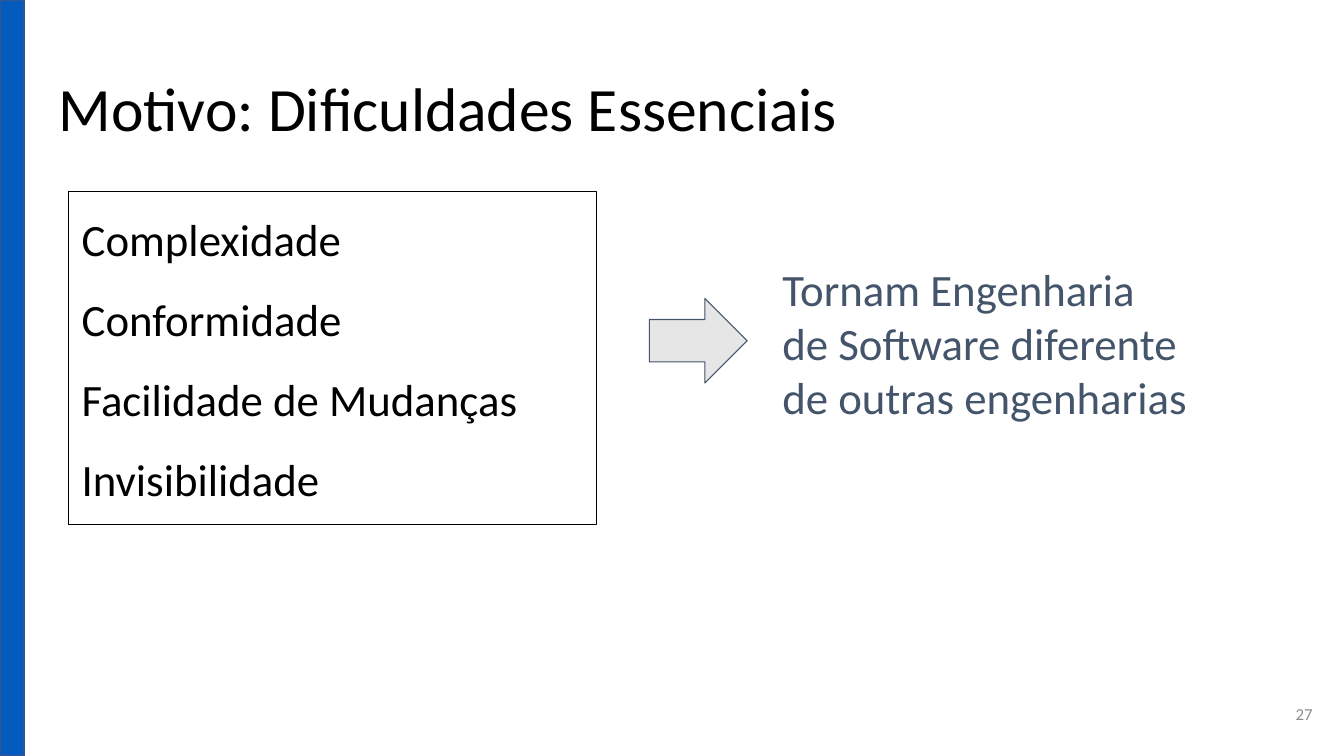
import pptx
import pptx.dml.color
import pptx.enum.shapes
import pptx.enum.text
import pptx.oxml
import pptx.oxml.ns
import pptx.util

RGB = pptx.dml.color.RGBColor
FORM = pptx.enum.shapes.MSO_SHAPE
ALIGN = pptx.enum.text.PP_ALIGN
ANCHOR = pptx.enum.text.MSO_ANCHOR

BLACK = RGB(0x00, 0x00, 0x00)
BLUE = RGB(0x04, 0x5A, 0xBD)
EDGE = RGB(0x32, 0x54, 0x91)
SLATE = RGB(0x44, 0x54, 0x6A)
SILVER = RGB(0xE7, 0xE6, 0xE6)
GRAY = RGB(0x8C, 0x8C, 0x8C)


class Page:
    """Hold the style and the slide; places are percent shares of its size."""

    def __init__(self, deck):
        self.deck = deck
        self.font = "Calibri"
        self.inset = pptx.util.Inches(0.13)
        self.slide = deck.slides.add_slide(deck.slide_layouts[1])

    def area(self, left, top, width, height):
        wide, high = self.deck.slide_width, self.deck.slide_height
        return (int(wide * left / 100), int(high * top / 100),
                int(wide * width / 100), int(high * height / 100))

    def fill_text(self, shape, lines, size, color, align=ALIGN.LEFT,
                  anchor=ANCHOR.TOP, pitch=1.0, gap=0):
        frame = shape.text_frame
        frame.word_wrap = True
        frame.auto_size = pptx.enum.text.MSO_AUTO_SIZE.NONE
        frame.vertical_anchor = anchor
        frame.margin_left = frame.margin_right = self.inset
        frame.margin_top = frame.margin_bottom = self.inset
        frame.text = "\n".join(lines)
        for rank, para in enumerate(frame.paragraphs):
            para.alignment = align
            para.line_spacing = pitch
            para.space_before = pptx.util.Pt(gap if rank else 0)
            props = para._p.get_or_add_pPr()
            props.set("marL", "0")
            props.set("indent", "0")
            props.append(pptx.oxml.parse_xml(
                "<a:buNone %s/>" % pptx.oxml.ns.nsdecls("a")))
            para.font.name = self.font
            para.font.size = pptx.util.Pt(size)
            para.font.color.rgb = color

    def holder(self, index, place, lines, size, **style):
        shape = self.slide.placeholders[index]
        shape.left, shape.top, shape.width, shape.height = self.area(*place)
        self.fill_text(shape, lines, size, BLACK, **style)
        return shape

    def text(self, place, lines, size, color, **style):
        box = self.slide.shapes.add_textbox(*self.area(*place))
        self.fill_text(box, lines, size, color, **style)

    def border(self, shape, color, width):
        shape.line.color.rgb = color
        shape.line.width = pptx.util.Pt(width)

    def block(self, form, place, fill, line, width):
        shape = self.slide.shapes.add_shape(form, *self.area(*place))
        shape.shadow.inherit = False
        shape.fill.solid()
        shape.fill.fore_color.rgb = fill
        self.border(shape, line, width)


def main():
    deck = pptx.Presentation()
    deck.slide_width = pptx.util.Inches(13.33)
    deck.slide_height = pptx.util.Inches(7.5)
    page = Page(deck)
    page.block(FORM.RECTANGLE, (0, 0, 1.8, 100), BLUE, EDGE, 1)
    page.holder(0, (3.38, 8.67, 93.17, 11.2),
                ["Motivo: Dificuldades Essenciais"], 44, pitch=0.9)
    causes = page.holder(1, (5.1, 25.33, 39.31, 44),
                         ["Complexidade", "Conformidade",
                          "Facilidade de Mudanças", "Invisibilidade"],
                         32, pitch=1.14, gap=13.3)
    page.border(causes, BLACK, 0.75)
    page.text((92.65, 90.67, 6, 7.6), ["27"], 12, GRAY,
              align=ALIGN.RIGHT, anchor=ANCHOR.MIDDLE)
    page.text((57.24, 32.93, 36.38, 24.27),
              ["Tornam Engenharia", "de Software diferente",
               "de outras engenharias"], 32, SLATE)
    page.block(FORM.RIGHT_ARROW, (48.31, 39.47, 7.28, 11.2),
               SILVER, SLATE, 0.75)
    deck.save("out.pptx")


if __name__ == "__main__":
    main()
